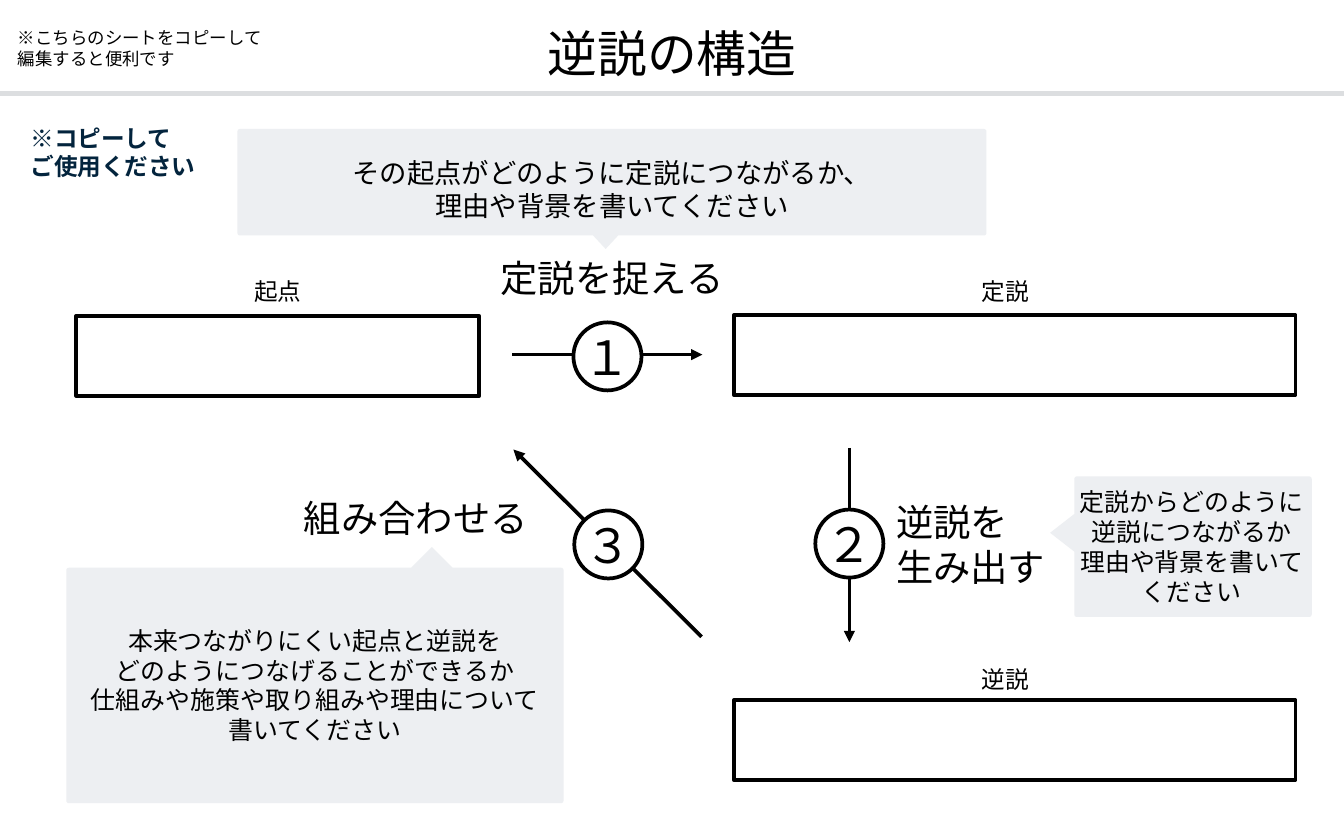
from math import cos, pi, sin

from lxml.etree import SubElement
from pptx import Presentation
from pptx.dml.color import RGBColor
from pptx.enum.lang import MSO_LANGUAGE_ID
from pptx.enum.shapes import MSO_CONNECTOR, MSO_SHAPE
from pptx.enum.text import MSO_ANCHOR, MSO_AUTO_SIZE, PP_ALIGN
from pptx.oxml.ns import qn
from pptx.util import Inches, Pt

THEME = {
    "font": "Arial",
    "ink": "000000", "paper": "FFFFFF", "callout": "EDEFF2",
    "rule": "DCDEE0", "notice": "03243D",
    "title": 40, "number": 38, "step": 30, "guide_large": 22,
    "guide": 20, "label": 19, "memo": 14,
    "stroke": 3, "rule_stroke": 4,
}
ALIGN = {"left": PP_ALIGN.LEFT, "center": PP_ALIGN.CENTER, "right": PP_ALIGN.RIGHT}
TIGHT = (0.04, 0.04)

# Content: positions are (left, top, width, height) in inches
TITLE = ("逆説の構造", (4.32, 0.21, 6.36, 0.75))
ANSWER_BOXES = [(8.19, 7.82, 6.27, 0.89), (0.85, 3.53, 4.5, 0.89), (8.19, 3.52, 6.27, 0.89)]
ANSWER_LABELS = [("起点", 1.13, 3.05), ("定説", 9.25, 3.05), ("逆説", 9.25, 7.38)]
LABEL_SIZE = (3.94, 0.4)
ARROWS = [
    ((5.72, 3.96), (7.84, 3.96)),
    ((9.48, 5), (9.48, 7.17)),
    ((7.83, 7.11), (5.73, 5.02)),
]
STEPS = [
    ("定説を捉える", (4.86, 2.81, 3.94, 0.59), "center"),
    ("組み合わせる", (2.51, 5.48, 3.42, 0.59), "right"),
    ("逆説を\n生み出す", (9.96, 5.53, 2.52, 1.09), "left"),
]
NUMBERS = [("３", 6.41, 5.7), ("１", 6.4, 3.6), ("２", 9.1, 5.69)]
CIRCLE = 0.76
CALLOUTS = [
    {"body": (2.65, 1.44, 8.36, 1.19), "side": "bottom", "tip": (6.76, 2.78),
     "half_base": 0.14, "size": "guide_large", "text_in": "outline",
     "text": "その起点がどのように定説につながるか、\n理由や背景を書いてください"},
    {"body": (11.99, 5.32, 2.65, 1.57), "side": "left", "tip": (11.72, 5.95),
     "half_base": 0.21, "size": "guide", "text_in": (11.96, 5.32, 2.68, 1.57),
     "text": "定説からどのように逆説につながるか\n理由や背景を書いてください"},
    {"body": (0.74, 6.34, 5.55, 2.63), "side": "top", "tip": (4.82, 6.11),
     "half_base": 0.23, "size": "guide", "text_in": (0.74, 6.33, 5.55, 2.64),
     "text": "本来つながりにくい起点と逆説を\nどのようにつなげることができるか\n"
             "仕組みや施策や取り組みや理由について\n書いてください"},
]
NOTICE = ("※コピーして\nご使用ください", (0.22, 1.32, 2.53, 0.76))
MEMO = ("※こちらのシートをコピーして\n編集すると便利です", (0.1, 0.25, 2.95, 0.57))


def color(name):
    return RGBColor.from_string(THEME[name])


def inches(values):
    return [Inches(value) for value in values]


def write(holder, text, size, ink="ink", align="center", anchor=MSO_ANCHOR.MIDDLE,
          bold=False, insets=TIGHT, wrap=True):
    frame = holder.text_frame
    frame.word_wrap = wrap
    frame.auto_size = MSO_AUTO_SIZE.NONE
    frame.vertical_anchor = anchor
    frame.margin_left = frame.margin_right = Inches(insets[0])
    frame.margin_top = frame.margin_bottom = Inches(insets[1])
    for index, line in enumerate(text.split("\n")):
        paragraph = frame.add_paragraph() if index else frame.paragraphs[0]
        paragraph.alignment = ALIGN[align]
        run = paragraph.add_run()
        run.text = line
        font = run.font
        font.name, font.size, font.bold = THEME["font"], Pt(THEME[size]), bold
        font.color.rgb = color(ink)
        font.language_id = MSO_LANGUAGE_ID.JAPANESE
        # Japanese glyphs take the East Asian typeface
        SubElement(run.font._element, qn("a:ea")).set("typeface", THEME["font"])


def add_text(slide, text, place, size, **style):
    write(slide.shapes.add_textbox(*inches(place)), text, size, **style)


def add_outlined(slide, preset, place):
    shape = slide.shapes.add_shape(preset, *inches(place))
    shape.shadow.inherit = False
    shape.fill.solid()
    shape.fill.fore_color.rgb = color("paper")
    shape.line.color.rgb = color("ink")
    shape.line.width = Pt(THEME["stroke"])
    return shape


def add_line(slide, start, end, ink="ink", stroke="stroke", arrow=False):
    line = slide.shapes.add_connector(MSO_CONNECTOR.STRAIGHT, *inches(start + end))
    line.line.color.rgb = color(ink)
    line.line.width = Pt(THEME[stroke])
    properties = line._element.spPr
    if arrow:
        SubElement(properties.find(qn("a:ln")), qn("a:tailEnd")).set("type", "triangle")
    SubElement(properties, qn("a:effectLst"))


def callout_points(body, side, tip, half_base, radius=0.03, steps=4):
    """Clockwise outline: each rounded corner, then the edge that follows it."""
    left, top, width, height = body
    right, bottom = left + width, top + height
    tip_x, tip_y = tip
    edges = [
        ("top", left + radius, top + radius, (tip_x, top), (1, 0)),
        ("right", right - radius, top + radius, (right, tip_y), (0, 1)),
        ("bottom", right - radius, bottom - radius, (tip_x, bottom), (-1, 0)),
        ("left", left + radius, bottom - radius, (left, tip_y), (0, -1)),
    ]
    points = []
    for turn, (edge, x, y, (base_x, base_y), (dx, dy)) in enumerate(edges):
        for step in range(steps + 1):
            angle = pi + (turn + step / steps) * pi / 2
            points.append((x + radius * cos(angle), y + radius * sin(angle)))
        if edge == side:
            points += [(base_x - dx * half_base, base_y - dy * half_base), tip,
                       (base_x + dx * half_base, base_y + dy * half_base)]
    return [tuple(inches(point)) for point in points]


def add_callout(slide, callout):
    points = callout_points(*(callout[key] for key in ("body", "side", "tip", "half_base")))
    builder = slide.shapes.build_freeform(*points[0])
    builder.add_line_segments(points[1:], close=True)
    bubble = builder.convert_to_shape()
    bubble.shadow.inherit = False
    bubble.fill.solid()
    bubble.fill.fore_color.rgb = color("callout")
    bubble.line.fill.background()
    if callout["text_in"] == "outline":
        write(bubble, callout["text"], callout["size"])
    else:
        add_text(slide, callout["text"], callout["text_in"], callout["size"])


def main():
    deck = Presentation()
    deck.slide_width, deck.slide_height = inches((15, 9.38))
    slide = deck.slides.add_slide(deck.slide_layouts[5])

    # Title and the rule below it
    text, place = TITLE
    title = slide.shapes.title
    title.left, title.top, title.width, title.height = inches(place)
    write(title, text, "title", anchor=MSO_ANCHOR.TOP)
    add_line(slide, (0, 1.04), (15.04, 1.04), ink="rule", stroke="rule_stroke")

    # Empty answer boxes and their labels
    for place in ANSWER_BOXES:
        add_outlined(slide, MSO_SHAPE.RECTANGLE, place)
    for text, left, top in ANSWER_LABELS:
        add_text(slide, text, (left, top, *LABEL_SIZE), "label")

    # Arrows, step names and numbered circles
    for start, end in ARROWS:
        add_line(slide, start, end, arrow=True)
    for text, place, align in STEPS:
        add_text(slide, text, place, "step", align=align)
    for number, left, top in NUMBERS:
        circle = add_outlined(slide, MSO_SHAPE.OVAL, (left, top, CIRCLE, CIRCLE))
        write(circle, number, "number", insets=(0, 0), wrap=False)

    # Writing guides
    for callout in CALLOUTS:
        add_callout(slide, callout)

    # Side notes
    add_text(slide, *NOTICE, "label", ink="notice", align="left", bold=True,
             anchor=MSO_ANCHOR.TOP, insets=(0.12, 0.06))
    add_text(slide, *MEMO, "memo", align="left", anchor=MSO_ANCHOR.TOP, insets=(0.1, 0.05))

    deck.save("out.pptx")


if __name__ == "__main__":
    main()
